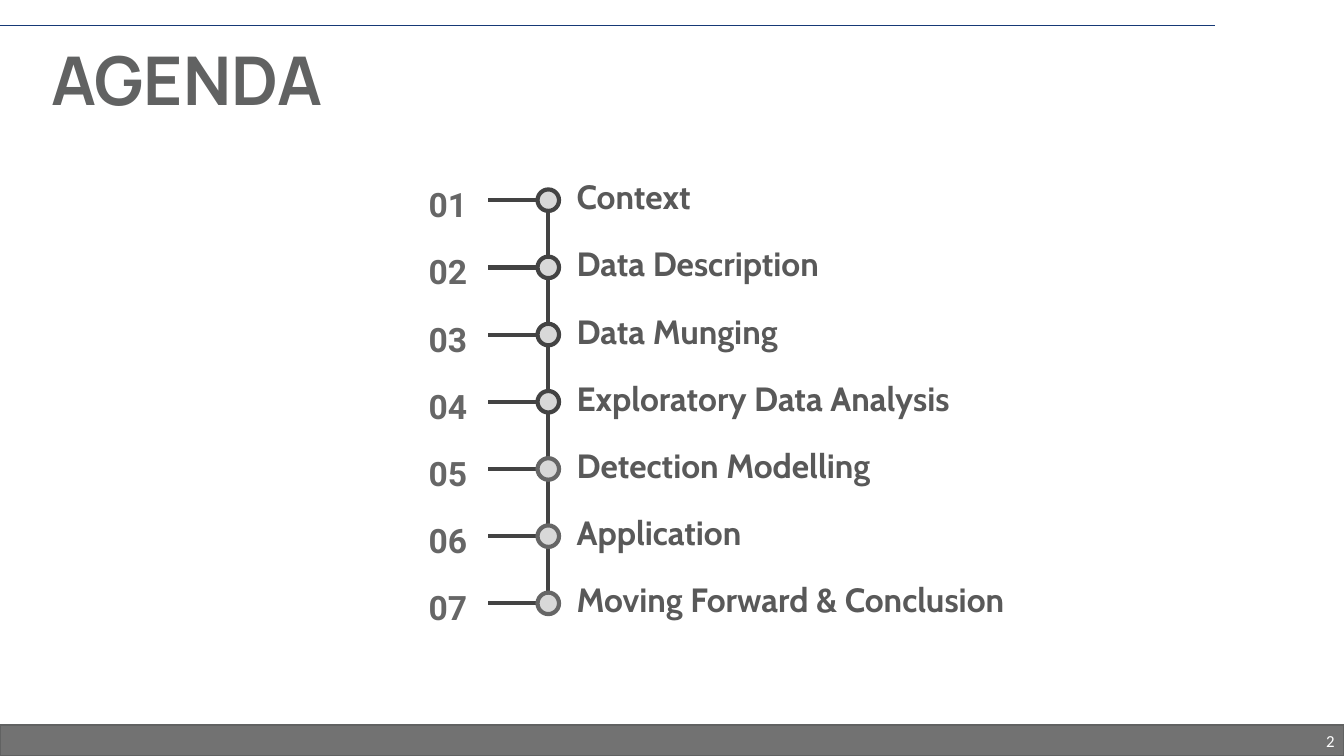
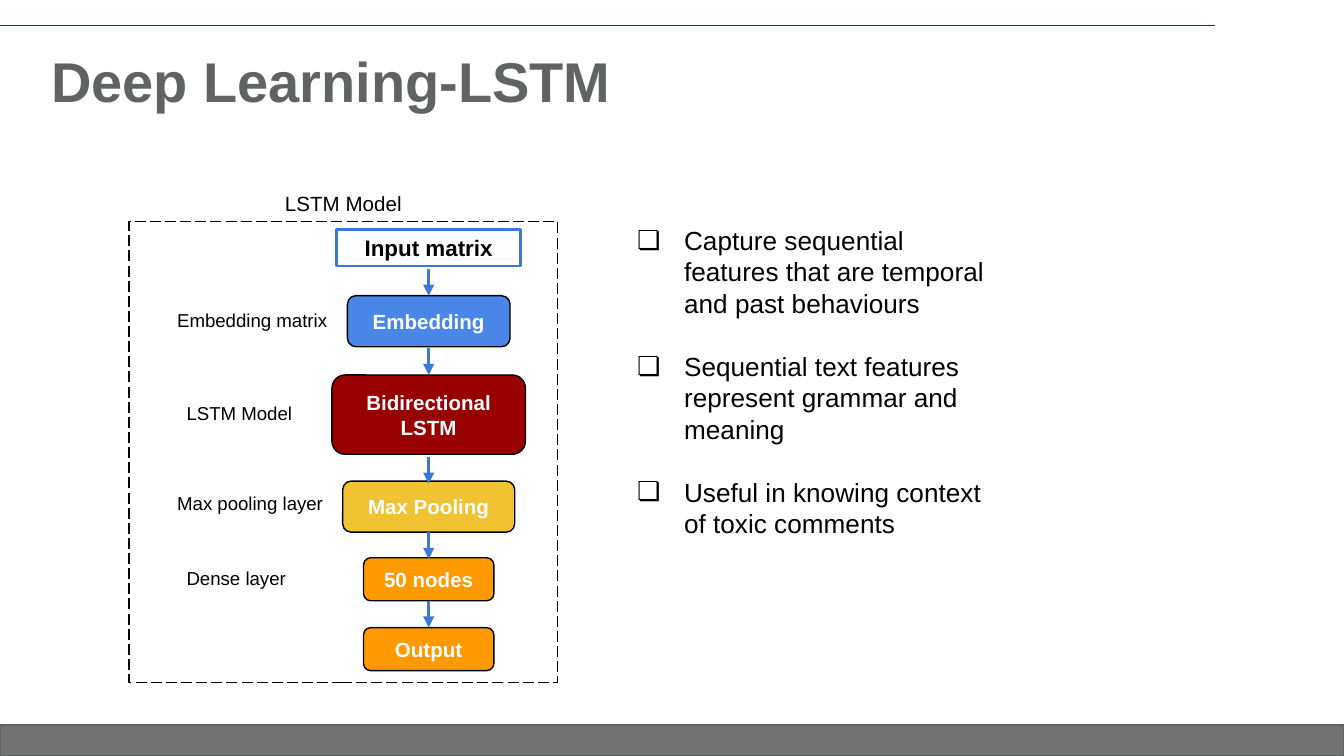
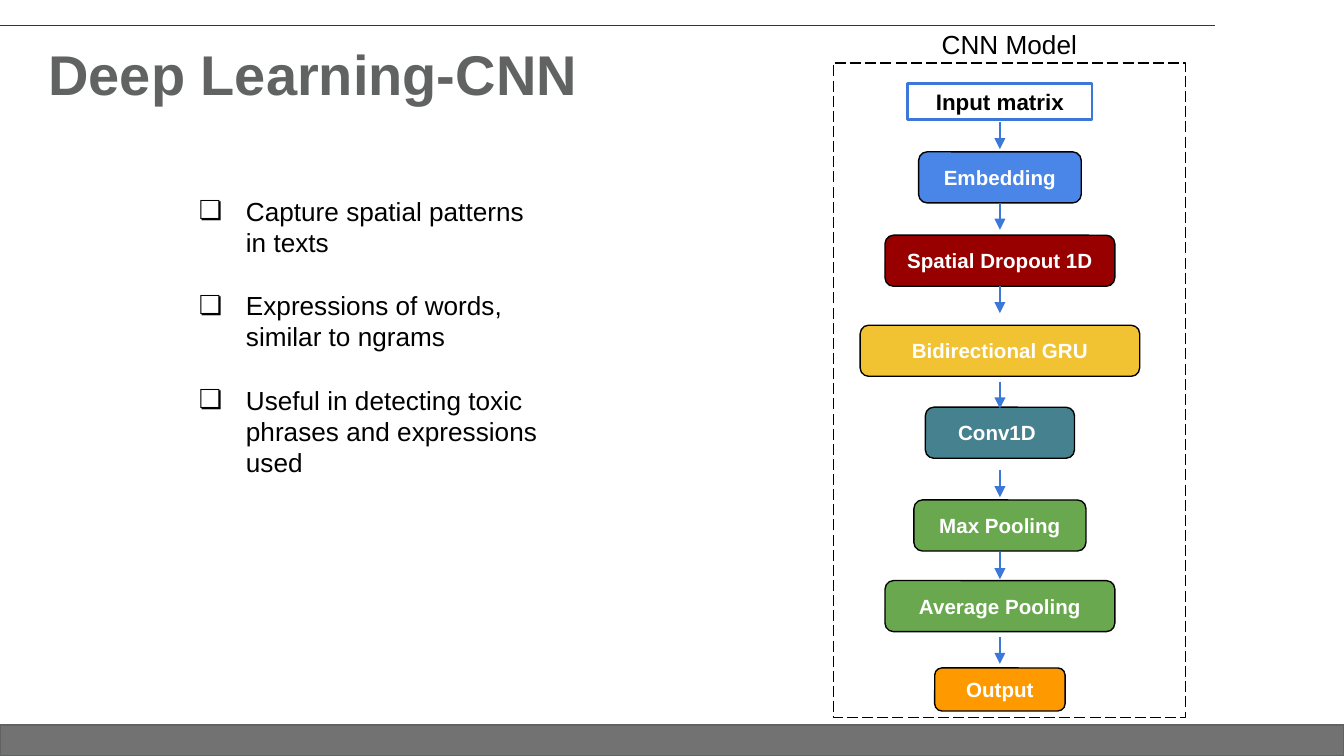
from dataclasses import dataclass

from lxml.etree import SubElement
from pptx import Presentation
from pptx.dml.color import RGBColor
from pptx.enum.dml import MSO_LINE
from pptx.enum.shapes import MSO_CONNECTOR, MSO_SHAPE
from pptx.enum.text import MSO_ANCHOR, MSO_AUTO_SIZE, PP_ALIGN
from pptx.oxml.ns import qn
from pptx.util import Inches, Pt

SLIDE_WIDTH = Inches(10)
SLIDE_HEIGHT = SLIDE_WIDTH * 9 // 16
GRID_COLUMNS = 10
GRID_ROWS = GRID_COLUMNS * 9 / 16
TITLE_ONLY, TITLE_AND_CONTENT = 5, 1


@dataclass(frozen=True)
class Theme:
    band: str = "727272"
    title: str = "616262"
    rule: str = "163976"
    text: str = "000000"
    white: str = "FFFFFF"
    timeline: str = "434343"
    late_ring: str = "666666"
    dot: str = "D8D8D8"
    topic: str = "595959"
    arrow: str = "3C78D8"
    blue: str = "4A86E8"
    red: str = "990000"
    dropout_red: str = "980000"
    yellow: str = "F1C232"
    orange: str = "FF9900"
    teal: str = "45818E"
    green: str = "6AA84F"
    font: str = "Arial"
    agenda_title_font: str = "Manrope"
    number_font: str = "Roboto"
    topic_font: str = "Cabin"
    page_font: str = "Calibri"
    agenda_title_size: int = 36
    title_size: int = 30
    agenda_size: int = 18
    list_size: int = 14
    list_gap: int = 17
    input_size: int = 12
    node_size: int = 11
    label_size: int = 10
    page_size: int = 9


THEME = Theme()


@dataclass(frozen=True)
class Node:
    """One box of a flow chart; arrow_gap is the space before the arrow below it."""
    text: str
    top: float
    width: float
    height: float = 0.38
    fill: str = THEME.orange
    arrow_gap: float = 0.01


def grid(*cells):
    """Convert square grid cells, ten to the slide's width, to slide lengths."""
    return [round(cell * SLIDE_WIDTH / GRID_COLUMNS) for cell in cells]


def color(value):
    return RGBColor.from_string(value)


def place(shape, box):
    shape.left, shape.top, shape.width, shape.height = grid(*box)


def set_frame(shape, inset_x, inset_y, anchor):
    frame = shape.text_frame
    frame.word_wrap = True
    frame.auto_size = MSO_AUTO_SIZE.NONE
    frame.vertical_anchor = anchor
    frame.margin_left = frame.margin_right = Inches(inset_x)
    frame.margin_top = frame.margin_bottom = Inches(inset_y)
    return frame


def set_font(paragraph, size, ink=THEME.text, name=THEME.font, bold=False):
    font = paragraph.font
    font.size, font.name, font.bold = Pt(size), name, bold
    font.color.rgb = color(ink)


def write(shape, text, size, inset=(0.1, 0.1), anchor=MSO_ANCHOR.TOP,
          align=PP_ALIGN.LEFT, **font):
    paragraph = set_frame(shape, *inset, anchor).paragraphs[0]
    paragraph.text = text
    paragraph.alignment = align
    set_font(paragraph, size, **font)
    return paragraph


def add_text(slide, box, text, size, **style):
    return write(slide.shapes.add_textbox(*grid(*box)), text, size, **style)


def add_box(slide, kind, box, fill, line, weight):
    shape = slide.shapes.add_shape(kind, *grid(*box))
    shape.shadow.inherit = False
    if fill:
        shape.fill.solid()
        shape.fill.fore_color.rgb = color(fill)
    else:
        shape.fill.background()
    shape.line.color.rgb = color(line)
    shape.line.width = Pt(weight)
    return shape


def add_line(slide, start, end, ink, weight, arrow=False):
    line = slide.shapes.add_connector(MSO_CONNECTOR.STRAIGHT, *grid(*start, *end))
    line.line.color.rgb = color(ink)
    line.line.width = Pt(weight)
    if arrow:
        SubElement(line.line._get_or_add_ln(), qn("a:tailEnd"), type="triangle")
    SubElement(line._element.spPr, qn("a:effectLst"))
    return line


def add_slide(presentation, layout, title, box=(0.31, 0.31, 8.82, 0.63),
              size=THEME.title_size, name=THEME.font):
    slide = presentation.slides.add_slide(presentation.slide_layouts[layout])
    place(slide.shapes.title, box)
    paragraph = write(slide.shapes.title, title, size, inset=(0.07, 0.04),
                      anchor=MSO_ANCHOR.MIDDLE, ink=THEME.title, name=name, bold=True)
    paragraph.line_spacing = 0.9
    return slide


def decorate_master(presentation, slide):
    """Draw the footer band and top rule on a slide, then move them to the master."""
    band = add_box(slide, MSO_SHAPE.RECTANGLE,
                   (0, GRID_ROWS - 0.23, GRID_COLUMNS, 0.23),
                   THEME.band, THEME.title, 1)
    rule = add_line(slide, (0, 0.19), (9.04, 0.19), THEME.rule, 1)
    tree = presentation.slide_master.shapes._spTree
    for shape_id, shape in enumerate((rule, band), start=101):
        shape._element.xpath(".//p:cNvPr")[0].set("id", str(shape_id))
        tree.insert(2, shape._element)


def add_agenda(slide, topics, top=1.49, pitch=0.5):
    axis, dot, early_topics = 4.08, 0.16, 4
    add_line(slide, (axis, top), (axis, top + pitch * (len(topics) - 1)),
             THEME.timeline, 2.25)
    for index, topic in enumerate(topics):
        middle = top + index * pitch
        ring = THEME.timeline if index < early_topics else THEME.late_ring
        add_line(slide, (axis - dot / 2, middle), (3.63, middle), THEME.timeline, 2.25)
        add_box(slide, MSO_SHAPE.OVAL, (axis - dot / 2, middle - dot / 2, dot, dot),
                THEME.dot, ring, 2.25)
        add_text(slide, (3.12, middle - 0.19, 0.44, 0.27), f"{index + 1:02}",
                 THEME.agenda_size, inset=(0.07, 0.07), ink=THEME.late_ring,
                 name=THEME.number_font, bold=True)
        add_text(slide, (4.22, middle - 0.25, 3.75, 0.37), topic,
                 THEME.agenda_size, inset=(0.07, 0.07), ink=THEME.topic,
                 name=THEME.topic_font, bold=True)


def add_bullet(paragraph):
    properties = paragraph._p.get_or_add_pPr()
    properties.set("marL", str(Inches(0.5)))
    properties.set("indent", str(Inches(-0.35)))
    bullet_color = SubElement(properties, qn("a:buClr"))
    SubElement(bullet_color, qn("a:srgbClr"), val=THEME.text)
    SubElement(properties, qn("a:buFont"), typeface=THEME.font)
    SubElement(properties, qn("a:buChar"), char="❏")


def fill_list(slide, left, top, items):
    body = slide.placeholders[1]
    place(body, (left, top, 2.97, 3.58))
    frame = set_frame(body, 0.1, 0.1, MSO_ANCHOR.TOP)
    for index, item in enumerate(items):
        paragraph = frame.add_paragraph() if index else frame.paragraphs[0]
        paragraph.text = item
        add_bullet(paragraph)
        paragraph.space_before = Pt(THEME.list_gap if index else 0)
        set_font(paragraph, THEME.list_size)


def add_model_frame(slide, box, caption, caption_top, caption_size):
    left, _, width, _ = box
    frame = add_box(slide, MSO_SHAPE.RECTANGLE, box, None, THEME.text, 0.75)
    frame.line.dash_style = MSO_LINE.LONG_DASH
    add_text(slide, (left, caption_top, width, 0.27), caption, caption_size,
             align=PP_ALIGN.CENTER)


def add_flow(slide, axis, input_top, layers):
    """Stack the input box and its layers on one axis, with arrows between them."""
    nodes = [Node("Input matrix", input_top, 1.37, 0.27, THEME.white, 0.02), *layers]
    for index, node in enumerate(nodes):
        is_input = index == 0
        shape = add_box(
            slide, MSO_SHAPE.RECTANGLE if is_input else MSO_SHAPE.ROUNDED_RECTANGLE,
            (axis - node.width / 2, node.top, node.width, node.height), node.fill,
            THEME.arrow if is_input else THEME.text, 1.5 if is_input else 0.75)
        write(shape, node.text, THEME.input_size if is_input else THEME.node_size,
              anchor=MSO_ANCHOR.MIDDLE, align=PP_ALIGN.CENTER,
              ink=THEME.text if is_input else THEME.white, bold=True)
    for node in nodes[:-1]:
        start = node.top + node.height + node.arrow_gap
        add_line(slide, (axis, start), (axis, start + 0.2), THEME.arrow, 1.5, arrow=True)


def build_agenda(presentation):
    slide = add_slide(presentation, TITLE_ONLY, "AGENDA",
                      size=THEME.agenda_title_size, name=THEME.agenda_title_font)
    decorate_master(presentation, slide)
    add_agenda(slide, [
        "Context", "Data Description", "Data Munging", "Exploratory Data Analysis",
        "Detection Modelling", "Application", "Moving Forward & Conclusion",
    ])
    add_text(slide, (7.75, 5.36, 2.25, 0.3), "2", THEME.page_size, inset=(0.07, 0.04),
             anchor=MSO_ANCHOR.MIDDLE, align=PP_ALIGN.RIGHT, ink=THEME.white,
             name=THEME.page_font)


def build_lstm(presentation):
    slide = add_slide(presentation, TITLE_AND_CONTENT, "Deep Learning-LSTM")
    add_model_frame(slide, (0.96, 1.65, 3.19, 3.43), "LSTM Model", 1.32, THEME.node_size)
    add_flow(slide, 3.19, 1.71, [
        Node("Embedding", 2.2, 1.21, fill=THEME.blue),
        Node("Bidirectional LSTM", 2.79, 1.44, 0.59, THEME.red, 0.02),
        Node("Max Pooling", 3.58, 1.28, fill=THEME.yellow, arrow_gap=0),
        Node("50 nodes", 4.15, 0.97, 0.32, arrow_gap=0),
        Node("Output", 4.67, 0.97, 0.32),
    ])
    for left, top, label in [
        (1.22, 2.2, "Embedding matrix"), (1.29, 2.89, "LSTM Model"),
        (1.22, 3.56, "Max pooling layer"), (1.29, 4.12, "Dense layer"),
    ]:
        add_text(slide, (left, top, 1.44, 0.38), label, THEME.label_size)
    fill_list(slide, 4.49, 1.57, [
        "Capture sequential features that are temporal and past behaviours",
        "Sequential text features represent grammar and meaning",
        "Useful in knowing context of toxic comments",
    ])


def build_cnn(presentation):
    slide = add_slide(presentation, TITLE_AND_CONTENT, "Deep Learning-CNN",
                      box=(0.29, 0.26, 6.58, 0.63))
    add_model_frame(slide, (6.2, 0.47, 2.62, 4.87), "CNN Model", 0.11, THEME.list_size)
    add_flow(slide, 7.44, 0.62, [
        Node("Embedding", 1.13, 1.21, fill=THEME.blue, arrow_gap=0),
        Node("Spatial Dropout 1D", 1.75, 1.71, fill=THEME.dropout_red, arrow_gap=0),
        Node("Bidirectional GRU", 2.42, 2.08, fill=THEME.yellow, arrow_gap=0.04),
        Node("Conv1D ", 3.03, 1.11, fill=THEME.teal, arrow_gap=0.09),
        Node("Max Pooling", 3.72, 1.28, fill=THEME.green),
        Node("Average Pooling", 4.32, 1.71, fill=THEME.green, arrow_gap=0.04),
        Node("Output", 4.97, 0.97, 0.32),
    ])
    fill_list(slide, 1.23, 1.35, [
        "Capture spatial patterns in texts",
        "Expressions of words, similar to ngrams",
        "Useful in detecting toxic phrases and expressions used",
    ])


def main():
    presentation = Presentation()
    presentation.slide_width = SLIDE_WIDTH
    presentation.slide_height = SLIDE_HEIGHT
    build_agenda(presentation)
    build_lstm(presentation)
    build_cnn(presentation)
    presentation.save("out.pptx")


if __name__ == "__main__":
    main()
